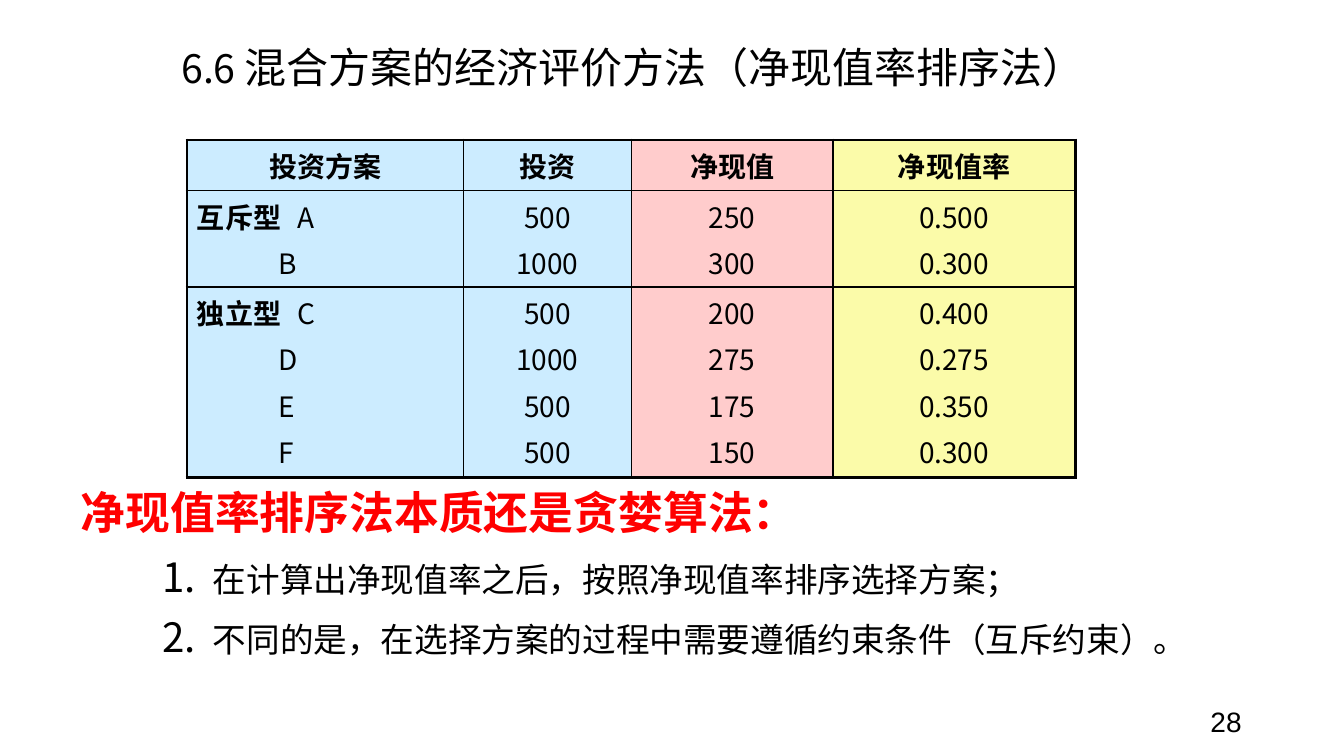
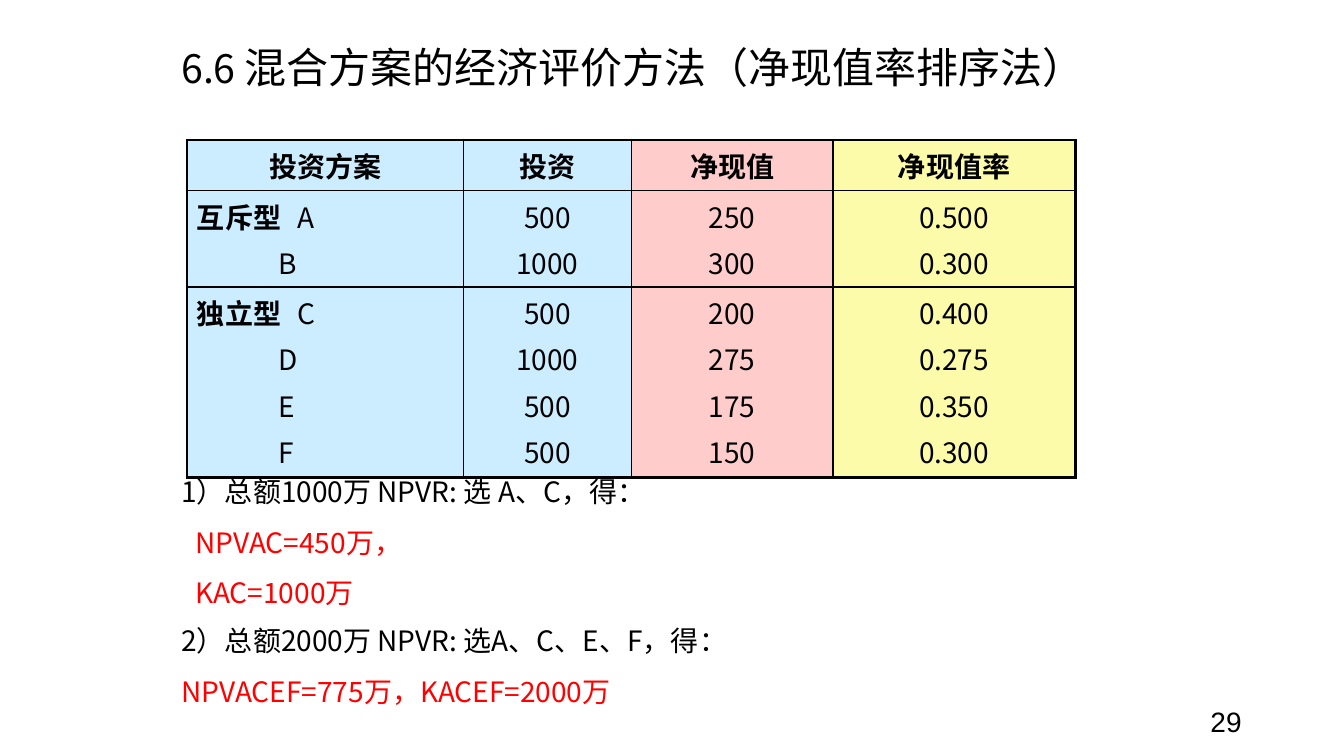
from lxml import etree
from pptx import Presentation
from pptx.dml.color import RGBColor
from pptx.enum import shapes, text
from pptx.oxml.ns import qn
from pptx.util import Pt

COLORS = {"black": "000000", "white": "FFFFFF", "red": "FF0000",
          "blue": "CCECFF", "pink": "FFCCCC", "yellow": "FBFBA9"}
CJK = "Noto Sans CJK SC"
ALIGN = text.PP_ALIGN

TITLE = ("6.6 ", "混合方案的经济评价方法（净现值率排序法）")
TITLE_BOX = (122.5, 26, 703.5, 36.5)
NUMBER_BOX = (678, 500.5, 216, 29)
TABLE_BOX = (133.5, 100, 634.5, 241)

COL_WIDTHS = (197.5, 120, 144, 173)
ROW_HEIGHTS = (36, 69, 136)
COL_FILLS = ("blue", "blue", "pink", "yellow")
HEADERS = ("投资方案", "投资", "净现值", "净现值率")
# Group name, then one (plan, investment, NPV, NPV rate) per line
GROUPS = (
    ("互斥型", (("A", "500", "250", "0.500"), ("B", "1000", "300", "0.300"))),
    ("独立型", (("C", "500", "200", "0.400"), ("D", "1000", "275", "0.275"),
             ("E", "500", "175", "0.350"), ("F", "500", "150", "0.300"))),
)


def rgb(name):
    return RGBColor.from_string(COLORS[name])


def sub(parent, tag, **attrs):
    return etree.SubElement(parent, qn(tag), attrs)


def style(r, size, color="black", bold=False, font=CJK):
    r.font.size = Pt(size)
    r.font.bold = bold
    r.font.color.rgb = rgb(color)
    r.font.name = font
    sub(r._r.get_or_add_rPr(), "a:ea", typeface=font)


def indent(p, left, first=0):
    pPr = p._p.get_or_add_pPr()
    pPr.set("marL", str(Pt(left)))
    pPr.set("indent", str(Pt(first)))
    return pPr


def paragraphs(tf, count):
    return [tf.paragraphs[0]] + [tf.add_paragraph() for _ in range(count - 1)]


def text_box(s, box):
    tf = s.shapes.add_textbox(*map(Pt, box)).text_frame
    tf.word_wrap = True
    return tf


def title(s, box):
    sp = s.shapes.add_shape(shapes.MSO_SHAPE.RECTANGLE, *map(Pt, box))
    sp.shadow.inherit = False
    sp.fill.solid()
    sp.fill.fore_color.rgb = rgb("white")
    sp.line.fill.background()
    tf = sp.text_frame
    tf.word_wrap = True
    tf.vertical_anchor = text.MSO_ANCHOR.TOP
    p = tf.paragraphs[0]
    p.alignment = ALIGN.LEFT
    for part, size in zip(TITLE, (28, 30)):
        r = p.add_run()
        r.text = part
        style(r, size)


def page_number(s, box, number):
    tf = text_box(s, box)
    tf.vertical_anchor = text.MSO_ANCHOR.MIDDLE
    p = tf.paragraphs[0]
    p.text = str(number)
    p.alignment = ALIGN.RIGHT
    style(p.runs[0], 20, font="Arial")


def borders(cell, row, col):
    """Thick lines around the table, thin lines inside."""
    outer = {"a:lnL": col == 0, "a:lnR": col == len(COL_WIDTHS) - 1,
             "a:lnT": row == 0, "a:lnB": row == len(ROW_HEIGHTS) - 1}
    tcPr = cell._tc.get_or_add_tcPr()
    for tag, thick in outer.items():
        ln = sub(tcPr, tag, w=str(Pt(2.25 if thick else 1)))
        sub(sub(ln, "a:solidFill"), "a:srgbClr", val=COLORS["black"])


def cell_lines(cell, lines, bold=False):
    for i, (p, line) in enumerate(zip(paragraphs(cell.text_frame, len(lines)), lines)):
        p.text = line
        p.alignment = ALIGN.CENTER
        p.space_before = Pt(4 if i else 0)
        style(p.runs[0], 20, bold=bold)


def plan_names(cell, group, plans):
    """Bold group name beside the first plan, the others indented below."""
    cell_lines(cell, [group, *plans[1:]])
    for i, p in enumerate(cell.text_frame.paragraphs):
        p.alignment = ALIGN.LEFT
        pPr = indent(p, 58.5 if i else 0)
        if i == 0:
            p.runs[0].font.bold = True
            sub(sub(pPr, "a:tabLst"), "a:tab", pos=str(Pt(79)), algn="l")
            r = p.add_run()
            r.text = "\t" + plans[0]
            style(r, 20)


def plan_table(s, box):
    tbl = s.shapes.add_table(len(ROW_HEIGHTS), len(COL_WIDTHS), *map(Pt, box)).table
    tbl.first_row = tbl.horz_banding = False
    for column, width in zip(tbl.columns, COL_WIDTHS):
        column.width = Pt(width)
    for i, height in enumerate(ROW_HEIGHTS):
        tbl.rows[i].height = Pt(height)
        for j, fill in enumerate(COL_FILLS):
            cell = tbl.cell(i, j)
            borders(cell, i, j)
            cell.fill.solid()
            cell.fill.fore_color.rgb = rgb(fill)
            if i == 0:
                cell_lines(cell, [HEADERS[j]], bold=True)
                continue
            group, plans = GROUPS[i - 1]
            values = [plan[j] for plan in plans]
            if j == 0:
                plan_names(cell, group, values)
            else:
                cell_lines(cell, values)


def body(s, box, lines):
    """Justified lines of (text, size, colour, bold, left indent)."""
    tf = text_box(s, box)
    for p, (line, size, color, bold, left) in zip(paragraphs(tf, len(lines)), lines):
        p.text = line
        p.alignment = ALIGN.JUSTIFY
        p.line_spacing = 1.5
        indent(p, left)
        style(p.runs[0], size, color, bold)
    return tf


def greedy_note(s, box):
    tf = body(s, box, (
        ("净现值率排序法本质还是贪婪算法：", 32, "red", True, 0),
        ("在计算出净现值率之后，按照净现值率排序选择方案；", 24, "black", False, 0),
        ("不同的是，在选择方案的过程中需要遵循约束条件（互斥约束）。", 24, "black", False, 0),
    ))
    for p in tf.paragraphs[1:]:
        pPr = indent(p, 94.5, -36)
        sub(pPr, "a:buSzPct", val="120000")
        sub(pPr, "a:buFont", typeface=CJK)
        sub(pPr, "a:buAutoNum", type="arabicPeriod")


def budget_results(s, box):
    x, y, w, h = box
    body(s, (x, y, w, 112), (
        ("1）总额1000万 NPVR: 选 A、C，得：", 20, "black", False, 0),
        ("NPVAC=450万，", 20, "red", False, 10),
        ("KAC=1000万", 20, "red", False, 10),
    ))
    body(s, (x, y + 106.5, w, h - 106.5), (
        ("2）总额2000万 NPVR: 选A、C、E、F，得：", 20, "black", False, 0),
        ("NPVACEF=775万，KACEF=2000万", 20, "red", False, 0),
    ))


def main():
    prs = Presentation()
    prs.slide_width, prs.slide_height = Pt(960), Pt(540)
    slides = ((28, greedy_note, (50.5, 323.5, 821, 147.5)),
              (29, budget_results, (122.5, 323.5, 703.5, 182)))
    for number, content, box in slides:
        s = prs.slides.add_slide(prs.slide_layouts[6])
        page_number(s, NUMBER_BOX, number)
        plan_table(s, TABLE_BOX)
        content(s, box)
        title(s, TITLE_BOX)
    prs.save("out.pptx")


if __name__ == "__main__":
    main()
